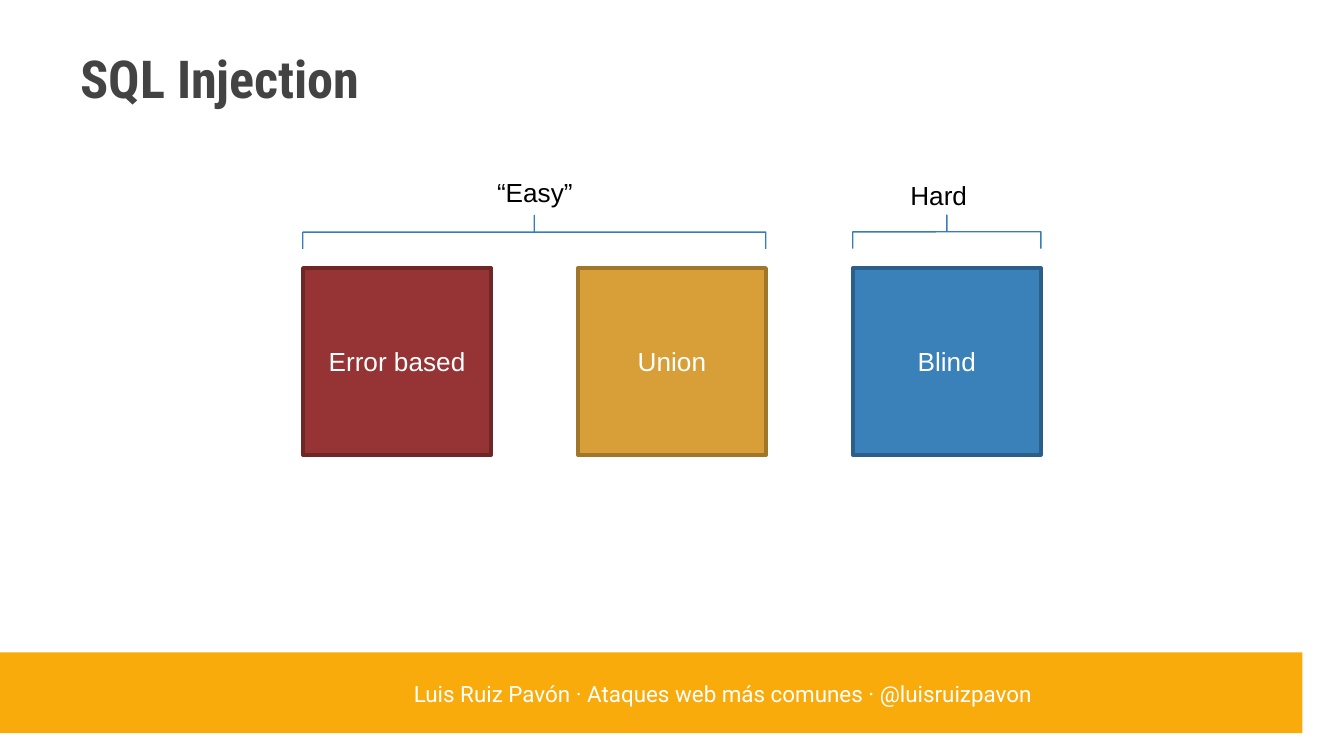
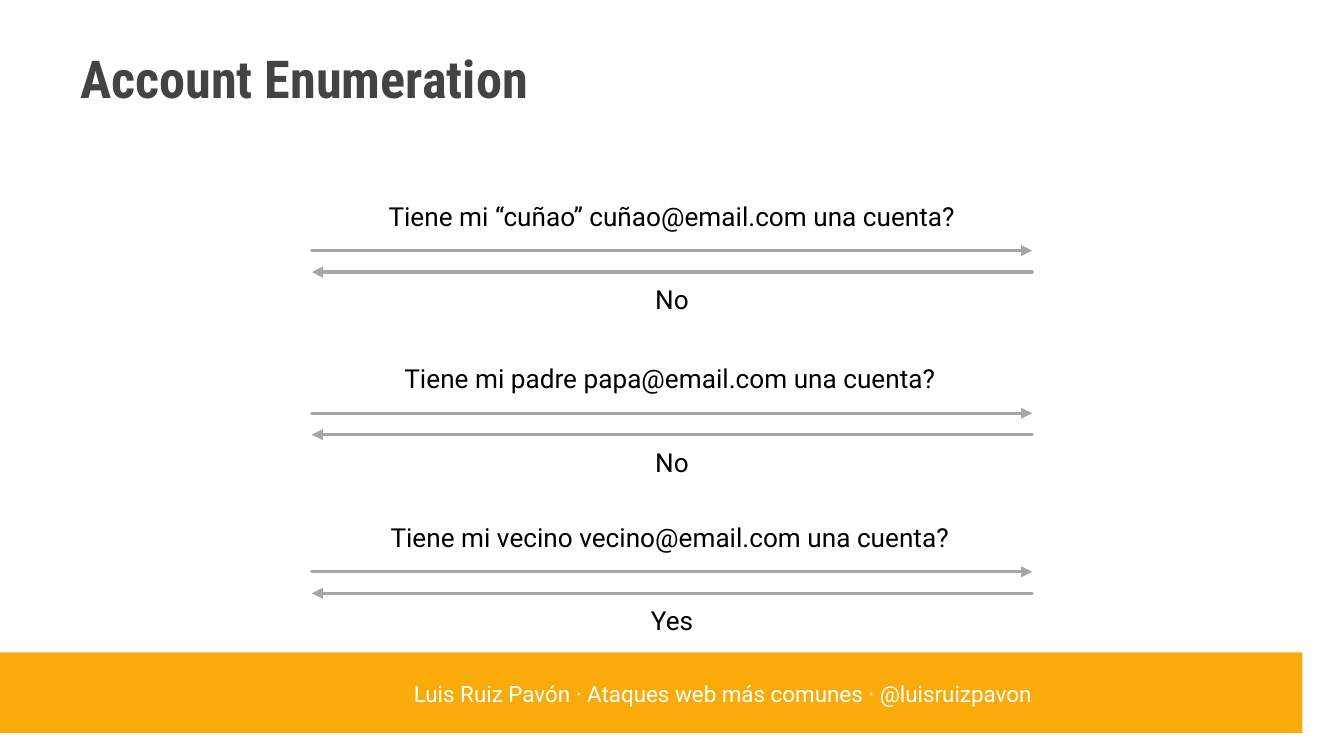
from dataclasses import dataclass
from typing import Optional

import pptx
import pptx.dml.color
import pptx.enum.shapes
import pptx.enum.text
import pptx.oxml.ns
import pptx.presentation
import pptx.shapes.autoshape
import pptx.slide
import pptx.util
from lxml import etree

PX = 4572
SHAPE = pptx.enum.shapes.MSO_SHAPE
ALIGN = pptx.enum.text.PP_ALIGN
ANCHOR = pptx.enum.text.MSO_ANCHOR


@dataclass(frozen=True)
class Theme:
    band: str = "F9AB0C"
    title: str = "434343"
    ink: str = "000000"
    light: str = "FFFFFF"
    brace: str = "367EB9"
    arrow: str = "A6A6A6"
    body_font: str = "Roboto"
    title_font: str = "Roboto Condensed"
    diagram_font: str = "Arial"
    title_size: int = 28
    body_size: int = 14
    footer_size: int = 12
    box_line: float = 2
    brace_line: float = 0.75
    arrow_line: float = 1.75


@dataclass(frozen=True)
class Box:
    x: int
    y: int
    w: int
    h: int


@dataclass(frozen=True)
class TextStyle:
    font: str
    size: int
    color: str
    bold: bool = False
    align: ALIGN = ALIGN.CENTER
    anchor: ANCHOR = ANCHOR.TOP
    wrap: bool = True
    pad: int = 10


@dataclass(frozen=True)
class Technique:
    name: str
    fill: str
    line: str


@dataclass(frozen=True)
class Difficulty:
    name: str
    first: int
    last: int
    label: Box


@dataclass(frozen=True)
class Exchange:
    question: str
    answer: str
    top: int
    center: int
    question_w: int
    answer_w: int


THEME = Theme()
TITLE = TextStyle(THEME.title_font, THEME.title_size, THEME.title, bold=True,
                  align=ALIGN.LEFT, anchor=ANCHOR.BOTTOM, pad=20)
FOOTER = TextStyle(THEME.body_font, THEME.footer_size, THEME.light, pad=20)
BOX_TEXT = TextStyle(THEME.diagram_font, THEME.body_size, THEME.light,
                     anchor=ANCHOR.MIDDLE)
BRACE_TEXT = TextStyle(THEME.diagram_font, THEME.body_size, THEME.ink,
                       align=ALIGN.LEFT, wrap=False)
MESSAGE = TextStyle(THEME.body_font, THEME.body_size, THEME.ink, wrap=False)

SLIDE_W, SLIDE_H = 2000, 1125
BOX_X, BOX_Y, BOX_W, BOX_H, BOX_STEP = 451, 399, 280, 278, 409
BRACE_MID, BRACE_DEPTH = 345, 50
ARROW_LEFT, ARROW_RIGHT = 464, 1536
REQUEST_DY, RESPONSE_DY, ANSWER_DY = 85, 117, 124
LABEL_H = 68

TECHNIQUES = [
    Technique("Error based", "963334", "6F2626"),
    Technique("Union", "D89F39", "A0762A"),
    Technique("Blind", "3A81BA", "2B5F8A"),
]
DIFFICULTIES = [
    Difficulty("“Easy”", 0, 1, Box(720, 253, 154, LABEL_H)),
    Difficulty("Hard", 2, 2, Box(1335, 257, 126, LABEL_H)),
]
EXCHANGES = [
    Exchange("Tiene mi “cuñao” cuñao@email.com una cuenta?", "No", 288, 1000, 896, 90),
    Exchange("Tiene mi padre papa@email.com una cuenta?", "No", 530, 997, 838, 90),
    Exchange("Tiene mi vecino vecino@email.com una cuenta?", "Yes", 766, 997, 880, 104),
]


def px(n: int) -> pptx.util.Emu:
    return pptx.util.Emu(n * PX)


def rgb(color: str) -> pptx.dml.color.RGBColor:
    return pptx.dml.color.RGBColor.from_string(color)


def write(sp: pptx.shapes.autoshape.Shape, text: str, style: TextStyle) -> None:
    tf = sp.text_frame
    tf.word_wrap = style.wrap
    tf.vertical_anchor = style.anchor
    tf.margin_left = tf.margin_right = px(20)
    tf.margin_top = tf.margin_bottom = px(style.pad)
    p = tf.paragraphs[0]
    p.text = text
    p.alignment = style.align
    p.font.name = style.font
    p.font.size = pptx.util.Pt(style.size)
    p.font.bold = style.bold
    p.font.color.rgb = rgb(style.color)


def add_text(slide: pptx.slide.Slide, box: Box, text: str, style: TextStyle) -> None:
    sp = slide.shapes.add_textbox(px(box.x), px(box.y), px(box.w), px(box.h))
    write(sp, text, style)


def add_shape(slide: pptx.slide.Slide, kind: SHAPE, box: Box,
              fill: Optional[str] = None, line: Optional[str] = None,
              width: float = 0) -> pptx.shapes.autoshape.Shape:
    sp = slide.shapes.add_shape(kind, px(box.x), px(box.y), px(box.w), px(box.h))
    sp.shadow.inherit = False
    if fill:
        sp.fill.solid()
        sp.fill.fore_color.rgb = rgb(fill)
    else:
        sp.fill.background()
    if line:
        sp.line.color.rgb = rgb(line)
        sp.line.width = pptx.util.Pt(width)
    else:
        sp.line.fill.background()
    return sp


def add_arrow(slide: pptx.slide.Slide, start: int, end: int, y: int) -> None:
    cx = slide.shapes.add_connector(pptx.enum.shapes.MSO_CONNECTOR.STRAIGHT,
                                    px(start), px(y), px(end), px(y))
    cx.line.color.rgb = rgb(THEME.arrow)
    cx.line.width = pptx.util.Pt(THEME.arrow_line)
    qn = pptx.oxml.ns.qn
    sp_pr = cx._element.spPr
    ln = sp_pr.find(qn("a:ln"))
    ln.set("cap", "rnd")
    etree.SubElement(ln, qn("a:tailEnd"), type="triangle")
    etree.SubElement(sp_pr, qn("a:effectLst"))


def add_brace(slide: pptx.slide.Slide, left: int, right: int) -> None:
    span = right - left
    box = Box((left + right - BRACE_DEPTH) // 2, BRACE_MID - span // 2,
              BRACE_DEPTH, span)
    sp = add_shape(slide, SHAPE.LEFT_BRACE, box, line=THEME.brace,
                   width=THEME.brace_line)
    sp.rotation = 90
    sp.adjustments[0] = 0
    sp.adjustments[1] = 0.5


def add_slide(prs: pptx.presentation.Presentation, title: str) -> pptx.slide.Slide:
    slide = prs.slides.add_slide(prs.slide_layouts[6])
    add_shape(slide, SHAPE.RECTANGLE, Box(0, 971, 1938, 120), fill=THEME.band)
    add_text(slide, Box(455, 992, 1242, 78),
             "Luis Ruiz Pavón · Ataques web más comunes · @luisruizpavon", FOOTER)
    add_text(slide, Box(100, 62, 1800, 120), title, TITLE)
    return slide


def box_left(index: int) -> int:
    return BOX_X + index * BOX_STEP


def build_injection(prs: pptx.presentation.Presentation) -> None:
    slide = add_slide(prs, "SQL Injection")
    for i, technique in enumerate(TECHNIQUES):
        sp = add_shape(slide, SHAPE.RECTANGLE, Box(box_left(i), BOX_Y, BOX_W, BOX_H),
                       technique.fill, technique.line, THEME.box_line)
        write(sp, technique.name, BOX_TEXT)
    for level in DIFFICULTIES:
        add_brace(slide, box_left(level.first), box_left(level.last) + BOX_W)
        add_text(slide, level.label, level.name, BRACE_TEXT)


def add_message(slide: pptx.slide.Slide, text: str, center: int, top: int,
                width: int) -> None:
    add_text(slide, Box(center - width // 2, top, width, LABEL_H), text, MESSAGE)


def build_enumeration(prs: pptx.presentation.Presentation) -> None:
    slide = add_slide(prs, "Account Enumeration")
    for ex in EXCHANGES:
        add_message(slide, ex.question, ex.center, ex.top, ex.question_w)
        add_arrow(slide, ARROW_LEFT, ARROW_RIGHT, ex.top + REQUEST_DY)
        add_message(slide, ex.answer, SLIDE_W // 2, ex.top + ANSWER_DY, ex.answer_w)
        add_arrow(slide, ARROW_RIGHT, ARROW_LEFT, ex.top + RESPONSE_DY)


def main() -> None:
    prs = pptx.Presentation()
    prs.slide_width, prs.slide_height = px(SLIDE_W), px(SLIDE_H)
    build_injection(prs)
    build_enumeration(prs)
    prs.save("out.pptx")


if __name__ == "__main__":
    main()
